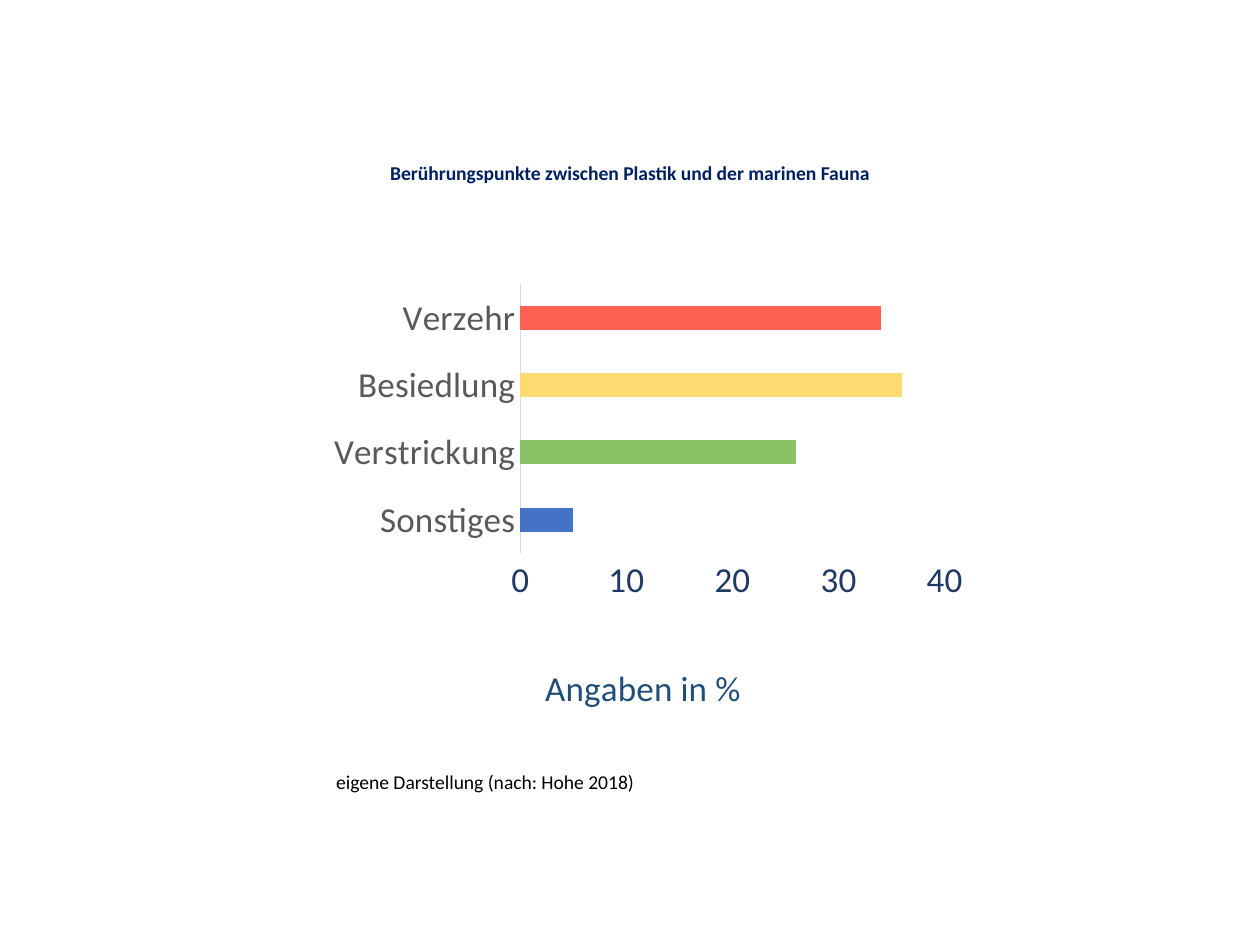
from dataclasses import dataclass

from lxml import etree
from pptx import Presentation
from pptx.chart.data import CategoryChartData
from pptx.dml.color import RGBColor
from pptx.enum.chart import XL_CHART_TYPE, XL_TICK_MARK
from pptx.enum.text import MSO_ANCHOR, MSO_AUTO_SIZE, PP_ALIGN
from pptx.util import Inches, Pt

BAR = XL_CHART_TYPE.BAR_CLUSTERED
NO_TICK = XL_TICK_MARK.NONE
CHART_NS = "http://schemas.openxmlformats.org/drawingml/2006/chart"

# Content
TITLE = "Berührungspunkte zwischen Plastik und der marinen Fauna"
SOURCE = "eigene Darstellung (nach: Hohe 2018)"
AXIS_TITLE = "Angaben in %"
# Category, share in percent, bar colour; from bottom to top
CONTACTS = [
    ("Sonstiges", 5, "4472C4"),
    ("Verstrickung", 26, "89C365"),
    ("Besiedlung", 36, "FFDA71"),
    ("Verzehr", 34, "FE6054"),
]


@dataclass(frozen=True)
class Theme:
    font: str = "Calibri"
    small: float = 11.2
    large: float = 20
    title: str = "002060"
    text: str = "000000"
    category: str = "595959"
    value: str = "203864"
    axis_title: str = "1F4E79"
    axis_line: str = "D9D9D9"


THEME = Theme()

# Places in inches: left, top, width, height
TITLE_BOX = (0, 1.23, 10, 0.29)
CHART_BOX = (0.91, 2.15, 7.32, 3.57)
SOURCE_BOX = (2.57, 6.06, 4, 0.29)
# Places as shares of the chart
PLOT_LAYOUT = {"x": 0.44, "y": 0.03, "w": 0.46, "h": 0.6}
AXIS_TITLE_LAYOUT = {"x": 0.46, "y": 0.86}


def style_font(font, size, color, bold=False):
    values = {"name": THEME.font, "size": Pt(size), "bold": bold}
    for name, value in values.items():
        setattr(font, name, value)
    font.color.rgb = RGBColor.from_string(color)


def write_text(box, place, text, color, align, bold=False):
    for name, value in zip(("left", "top", "width", "height"), place):
        setattr(box, name, Inches(value))
    frame = box.text_frame
    frame.text = text
    frame.word_wrap = True
    frame.auto_size = MSO_AUTO_SIZE.SHAPE_TO_FIT_TEXT
    frame.vertical_anchor = MSO_ANCHOR.TOP
    para = frame.paragraphs[0]
    para.alignment = align
    style_font(para.runs[0].font, THEME.small, color, bold)


def set_layout(element, index, places, inner=False):
    """Give a chart part a fixed place inside the chart."""
    for old in element.findall(f"{{{CHART_NS}}}layout"):
        element.remove(old)
    layout = etree.Element(f"{{{CHART_NS}}}layout")
    manual = etree.SubElement(layout, f"{{{CHART_NS}}}manualLayout")
    settings = {"layoutTarget": "inner"} if inner else {}
    settings.update(xMode="edge", yMode="edge", **places)
    for tag, value in settings.items():
        etree.SubElement(manual, f"{{{CHART_NS}}}{tag}").set("val", str(value))
    element.insert(index, layout)


def add_contact_chart(page):
    data = CategoryChartData(number_format="0")
    data.categories = [name for name, _, _ in CONTACTS]
    data.add_series("Anteil", [share for _, share, _ in CONTACTS])
    chart = page.shapes.add_chart(BAR, *map(Inches, CHART_BOX), data).chart
    chart.has_legend = False
    chart.has_title = False
    style_font(chart.font, THEME.large, THEME.text)

    # Bars
    plot = chart.plots[0]
    plot.gap_width = 182
    plot.vary_by_categories = False
    for index, (_, _, color) in enumerate(CONTACTS):
        fill = plot.series[0].points[index].format.fill
        fill.solid()
        fill.fore_color.rgb = RGBColor.from_string(color)

    # Axes
    categories, values = chart.category_axis, chart.value_axis
    for axis, color in ((categories, THEME.category), (values, THEME.value)):
        axis.major_tick_mark = axis.minor_tick_mark = NO_TICK
        axis.has_major_gridlines = False
        style_font(axis.tick_labels.font, THEME.large, color)
    categories.format.line.color.rgb = RGBColor.from_string(THEME.axis_line)
    categories.format.line.width = Pt(0.75)
    values.format.line.fill.background()
    scale = {"minimum_scale": 0, "maximum_scale": 40, "major_unit": 10}
    for name, value in scale.items():
        setattr(values, name, value)
    values.tick_labels.number_format = "0"
    values.tick_labels.number_format_is_linked = False

    # Axis title and fixed places
    title = values.axis_title
    title.text_frame.text = AXIS_TITLE
    span = title.text_frame.paragraphs[0].runs[0]
    style_font(span.font, THEME.large, THEME.axis_title)
    set_layout(title.element, 1, AXIS_TITLE_LAYOUT)
    plot_area = title.element.getparent().getparent()
    set_layout(plot_area, 0, PLOT_LAYOUT, inner=True)


def main():
    deck = Presentation()
    deck.slide_width, deck.slide_height = Inches(10), Inches(7.5)
    page = deck.slides.add_slide(deck.slide_layouts.get_by_name("Title Only"))

    add_contact_chart(page)
    source = page.shapes.add_textbox(*map(Inches, SOURCE_BOX))
    write_text(source, SOURCE_BOX, SOURCE, THEME.text, PP_ALIGN.LEFT)
    write_text(page.shapes.title, TITLE_BOX, TITLE, THEME.title,
               PP_ALIGN.CENTER, bold=True)

    deck.save("out.pptx")


if __name__ == "__main__":
    main()
